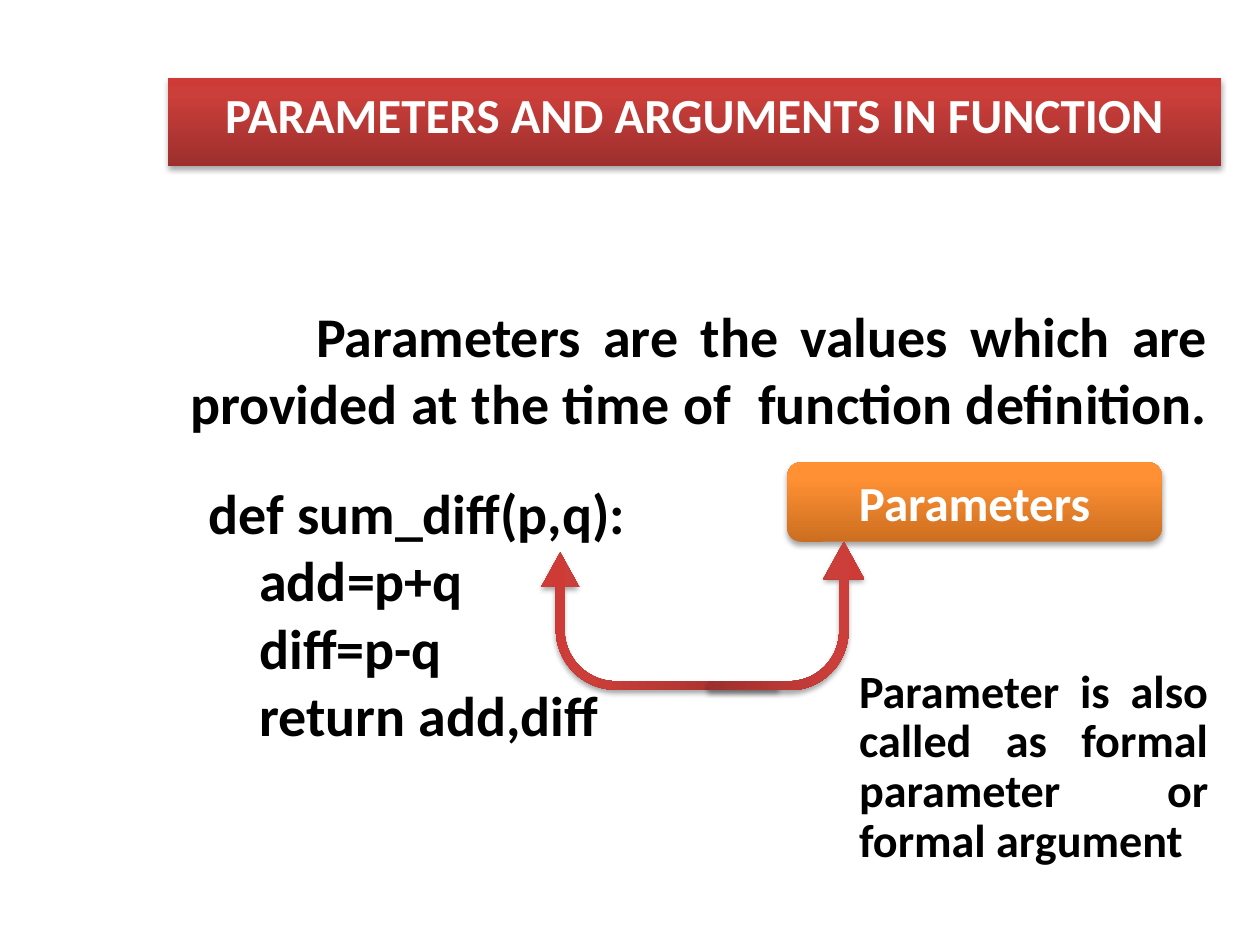
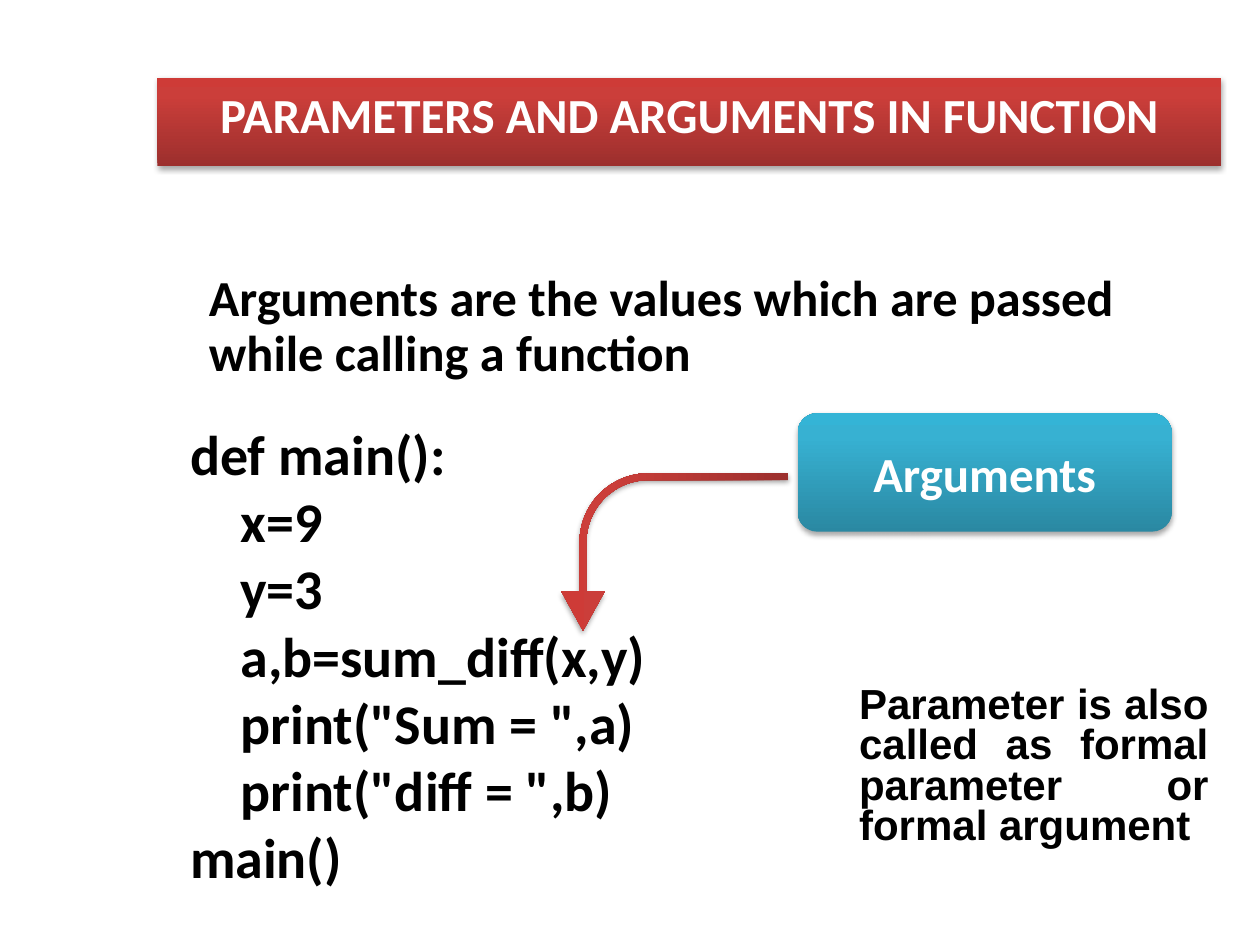
from dataclasses import dataclass

from lxml import etree
from pptx import Presentation
from pptx.dml.color import RGBColor
from pptx.enum.shapes import MSO_SHAPE
from pptx.enum.text import MSO_ANCHOR, PP_ALIGN
from pptx.oxml.ns import qn
from pptx.shapes.autoshape import Shape
from pptx.slide import Slide
from pptx.util import Inches, Pt

RECTANGLE = MSO_SHAPE.RECTANGLE
ROUNDED = MSO_SHAPE.ROUNDED_RECTANGLE
BENT_ARROW = MSO_SHAPE.BENT_ARROW
TOP, MIDDLE = MSO_ANCHOR.TOP, MSO_ANCHOR.MIDDLE
LEFT, CENTER, JUSTIFY = PP_ALIGN.LEFT, PP_ALIGN.CENTER, PP_ALIGN.JUSTIFY

WHITE = RGBColor(0xFF, 0xFF, 0xFF)
BLACK = RGBColor(0, 0, 0)
# Gradients run from the bottom to the top of a shape.
RED = (RGBColor(0x9C, 0x2F, 0x2D), RGBColor(0xCB, 0x3E, 0x3A), RGBColor(0xCE, 0x3B, 0x37))
ORANGE = (RGBColor(0xCC, 0x6E, 0x20), RGBColor(0xFF, 0x90, 0x34), RGBColor(0xFF, 0x91, 0x36))
TEAL = (RGBColor(0x2A, 0x88, 0xA2), RGBColor(0x37, 0xB1, 0xD2), RGBColor(0x34, 0xB4, 0xD6))
GRADIENT_STOPS = (0, 80000, 100000)

BODY_FONT = "Calibri"
CODE_INDENT = 0.4
TITLE = "PARAMETERS AND ARGUMENTS IN FUNCTION"
NOTE = "Parameter is also called as formal parameter or formal argument"
RIGHT_EDGE = 9.69


@dataclass
class Box:
    """Position and size in inches."""
    left: float
    top: float
    width: float
    height: float

    def lengths(self) -> tuple:
        """Give the four lengths in the order python-pptx takes them."""
        return tuple(map(Inches, (self.left, self.top, self.width, self.height)))


@dataclass
class TextStyle:
    """Look of a block of bold text."""
    size: float
    color: RGBColor = BLACK
    font: str = BODY_FONT
    align: PP_ALIGN = LEFT
    anchor: MSO_ANCHOR = TOP
    line_spacing: float | None = None


@dataclass
class Line:
    """One paragraph with its left margin and first-line indent in inches."""
    text: str
    margin: float = 0
    indent: float = 0
    end_break: bool = False


@dataclass
class BentArrow:
    """A bent arrow turned by 90 degrees; its box is the one before turning."""
    box: Box
    adjustments: tuple[float, ...]
    flips: tuple[str, ...]


LABEL_STYLE = TextStyle(28, WHITE, align=CENTER, anchor=MIDDLE)
TITLE_STYLE = TextStyle(28, WHITE, align=CENTER)
CODE_STYLE = TextStyle(32)


def write_text(shape: Shape, lines: list[Line], style: TextStyle) -> None:
    """Fill a shape with bold paragraphs."""
    frame = shape.text_frame
    frame.word_wrap = True
    frame.vertical_anchor = style.anchor
    for index, line in enumerate(lines):
        paragraph = frame.add_paragraph() if index else frame.paragraphs[0]
        paragraph.alignment = style.align
        paragraph.line_spacing = style.line_spacing
        properties = paragraph._p.get_or_add_pPr()
        properties.set("marL", str(Inches(line.margin)))
        properties.set("indent", str(Inches(line.indent)))
        run = paragraph.add_run()
        run.text = line.text
        run.font.name = style.font
        run.font.size = Pt(style.size)
        run.font.bold = True
        run.font.color.rgb = style.color
        if line.end_break:
            paragraph.add_line_break()


def add_text(slide: Slide, box: Box, lines: list[Line], style: TextStyle) -> None:
    """Add a text box."""
    write_text(slide.shapes.add_textbox(*box.lengths()), lines, style)


def add_glossy_shape(slide: Slide, kind: MSO_SHAPE, box: Box, colors: tuple) -> Shape:
    """Add an unlined shape with a vertical gradient and a soft shadow."""
    shape = slide.shapes.add_shape(kind, *box.lengths())
    shape.line.fill.background()
    shape.fill.gradient()
    shape.fill.gradient_angle = 90
    properties = shape._element.spPr
    stops = properties.find(qn("a:gradFill")).find(qn("a:gsLst"))
    for old_stop in list(stops):
        stops.remove(old_stop)
    for position, color in zip(GRADIENT_STOPS, colors):
        stop = etree.SubElement(stops, qn("a:gs"), pos=str(position))
        etree.SubElement(stop, qn("a:srgbClr"), val=str(color))

    shape.shadow.inherit = False
    shadow = etree.SubElement(
        properties.find(qn("a:effectLst")), qn("a:outerShdw"),
        blurRad=str(Pt(3.1)), dist=str(Pt(1.8)), dir="5400000", rotWithShape="0")
    shadow_color = etree.SubElement(shadow, qn("a:srgbClr"), val=str(BLACK))
    etree.SubElement(shadow_color, qn("a:alpha"), val="35000")
    return shape


def add_title(slide: Slide, left: float) -> None:
    """Add the red title band, which reaches to the right edge."""
    box = Box(left, 0.62, RIGHT_EDGE - left, 0.7)
    write_text(add_glossy_shape(slide, RECTANGLE, box, RED), [Line(TITLE)], TITLE_STYLE)


def add_label(slide: Slide, box: Box, text: str, colors: tuple) -> None:
    """Add a rounded label."""
    write_text(add_glossy_shape(slide, ROUNDED, box, colors), [Line(text)], LABEL_STYLE)


def add_bent_arrow(slide: Slide, arrow: BentArrow) -> None:
    """Add a red bent arrow."""
    shape = add_glossy_shape(slide, BENT_ARROW, arrow.box, RED)
    shape.rotation = 90
    for index, value in enumerate(arrow.adjustments):
        shape.adjustments[index] = value
    for flip in arrow.flips:
        shape._element.spPr.get_or_add_xfrm().set(flip, "1")


def add_note(slide: Slide, size: float, font: str, line_spacing: float) -> None:
    """Add the remark at the lower right."""
    style = TextStyle(size, font=font, align=JUSTIFY, anchor=MIDDLE, line_spacing=line_spacing)
    add_text(slide, Box(6.72, 5.08, 2.97, 2.03), [Line(NOTE)], style)


def build_parameters(slide: Slide) -> None:
    """Build the slide on parameters."""
    add_title(slide, 1.33)
    definition = Line("Parameters are the values which are provided at the time of  function definition.",
                      indent=1, end_break=True)  # the break justifies the last line too
    add_text(slide, Box(1.41, 2.34, 8.28, 1.2), [definition], TextStyle(32, align=JUSTIFY))
    add_label(slide, Box(6.25, 3.67, 2.97, 0.63), "Parameters", ORANGE)
    add_bent_arrow(slide, BentArrow(Box(4.69, 3.99, 1.09, 1.88),
                                    (0.063, 0.138, 0.25, 0.438), ("flipH", "flipV")))
    add_note(slide, 26.4, BODY_FONT, 0.9)
    add_bent_arrow(slide, BentArrow(Box(5.65, 4.27, 1.18, 1.24),
                                    (0.063, 0.138, 0.25, 0.401), ("flipH",)))
    body = ("add=p+q", "diff=p-q", "return add,diff")
    code = [Line("def sum_diff(p,q):")] + [Line(text, CODE_INDENT) for text in body]
    add_text(slide, Box(1.56, 3.75, 5, 2.79), code, CODE_STYLE)


def build_arguments(slide: Slide) -> None:
    """Build the slide on arguments."""
    add_note(slide, 24, "Arial", 0.8)
    add_title(slide, 1.25)
    definition = Line("Arguments are the values which are passed while calling a function")
    add_text(slide, Box(1.56, 2.12, 8.05, 1), [definition], TextStyle(28.8, line_spacing=0.9))
    body = ("x=9", "y=3", "a,b=sum_diff(x,y)", 'print("Sum = ",a)', 'print("diff = ",b)')
    code = [Line("def main():"), *(Line(text, CODE_INDENT) for text in body), Line("main()")]
    add_text(slide, Box(1.41, 3.28, 4.45, 3.87), code, CODE_STYLE)
    add_bent_arrow(slide, BentArrow(Box(4.73, 3.48, 1.25, 1.8),
                                    (0.044, 0.138, 0.25, 0.438), ("flipV",)))
    add_label(slide, Box(6.33, 3.28, 2.97, 0.94), "Arguments", TEAL)


def main() -> None:
    """Build and save the presentation."""
    presentation = Presentation()
    presentation.slide_width = Inches(10)
    presentation.slide_height = Inches(7.5)
    blank = presentation.slide_layouts[6]
    for build in (build_parameters, build_arguments):
        build(presentation.slides.add_slide(blank))
    presentation.save("out.pptx")


main()
